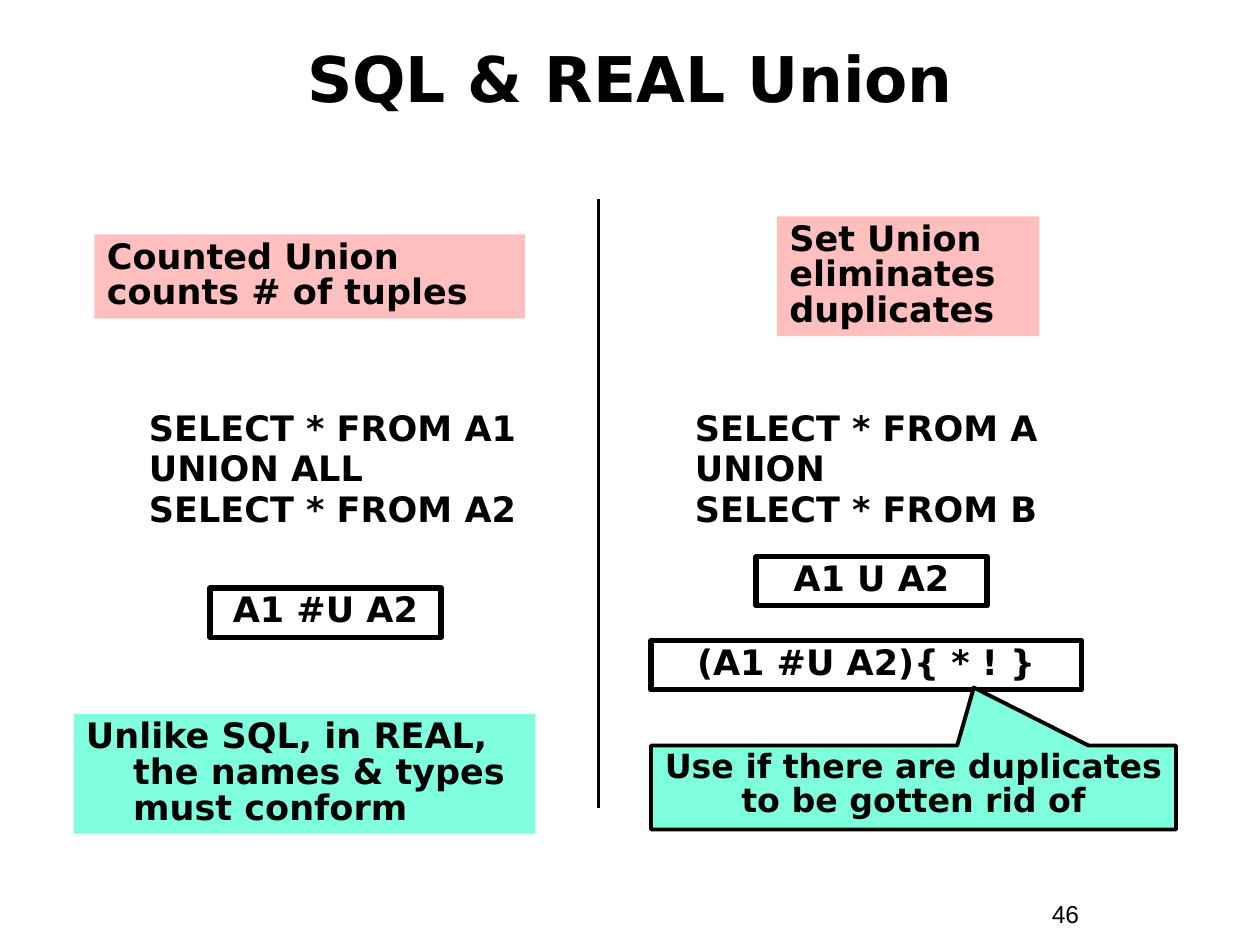
import pptx
import pptx.dml.color
import pptx.enum.shapes
import pptx.enum.text
import pptx.oxml
import pptx.oxml.ns
import pptx.util

Pt = pptx.util.Pt
Shape = pptx.enum.shapes.MSO_SHAPE
Align = pptx.enum.text.PP_ALIGN
Anchor = pptx.enum.text.MSO_ANCHOR

BLACK, PINK, AQUA = "000000", "FFBFBF", "7FFFDD"
HANGING = 27


def color(hex_text):
    return pptx.dml.color.RGBColor.from_string(hex_text)


def write_text(frame, text, size=20, font="DejaVu Sans", bold=True, align=Align.LEFT,
               anchor=Anchor.TOP, hanging=0, spacing=0.85, gap=0):
    """Fill a frame, one paragraph per line of text."""
    frame.word_wrap = True
    frame.vertical_anchor = anchor
    frame.auto_size = pptx.enum.text.MSO_AUTO_SIZE.NONE
    frame.margin_left = frame.margin_right = Pt(7.2)
    frame.margin_top = frame.margin_bottom = Pt(3.6)
    for number, line in enumerate(text.split("\n")):
        para = frame.add_paragraph() if number else frame.paragraphs[0]
        para.text = line
        para.alignment = align
        para.line_spacing = spacing
        para.space_before = Pt(gap if number else 0)
        if hanging:
            properties = para._p.get_or_add_pPr()
            properties.set("marL", str(Pt(hanging)))
            properties.set("indent", str(-Pt(hanging)))
        for span in para.runs:
            span.font.name = font
            span.font.size = Pt(size)
            span.font.bold = bold
            span.font.color.rgb = color(BLACK)


def add_box(page, box, text, kind=Shape.RECTANGLE, fill=None, line=None, **text_format):
    shape = page.shapes.add_shape(kind, *map(Pt, box))
    shape.shadow.inherit = False
    if fill:
        shape.fill.solid()
        shape.fill.fore_color.rgb = color(fill)
    else:
        shape.fill.background()
    if line:
        shape.line.color.rgb = color(BLACK)
        shape.line.width = Pt(line)
    else:
        shape.line.fill.background()
    write_text(shape.text_frame, text, **text_format)
    return shape


def add_query(page, box, text):
    query = page.shapes.add_textbox(*map(Pt, box))
    write_text(query.text_frame, text, hanging=HANGING, gap=2.5)


def add_formula(page, box, text):
    add_box(page, box, text, line=3, align=Align.CENTER, hanging=HANGING)


def add_title(page, box, text):
    title = page.shapes.title
    title.left, title.top, title.width, title.height = map(Pt, box)
    write_text(title.text_frame, text, size=36, align=Align.CENTER,
               anchor=Anchor.MIDDLE, spacing=1.0)


def add_divider(page, box):
    left, top, width, height = box
    divider = page.shapes.add_connector(
        pptx.enum.shapes.MSO_CONNECTOR.STRAIGHT,
        Pt(left), Pt(top), Pt(left + width), Pt(top + height))
    divider.line.color.rgb = color(BLACK)
    divider.line.width = Pt(2.25)
    divider._element.spPr.append(pptx.oxml.parse_xml(
        "<a:effectLst %s/>" % pptx.oxml.ns.nsdecls("a")))


def add_counted_union(page, box):
    left, top, width, height = box
    add_box(page, (left + 12, top + 20, 246, 48.2),
            "Counted Union counts # of tuples", fill=PINK)
    add_query(page, (left + 36, top + 118.6, 228, 73.4),
              "SELECT * FROM A1\nUNION ALL\nSELECT * FROM A2")
    add_formula(page, (left + 78, top + 222, 132, 28.2), "A1 #U A2")
    add_box(page, (left, top + height - 68.4, width, 68.4),
            "Unlike SQL, in REAL, the names & types\vmust conform",
            fill=AQUA, hanging=HANGING)


def add_set_union(page, box):
    left, top, width, height = box
    add_box(page, (left + 72, top + 9.7, 150, 68.4),
            "Set Union eliminates duplicates", fill=PINK)
    add_query(page, (left + 18, top + 118.6, 228, 73.4),
              "SELECT * FROM A\nUNION\nSELECT * FROM B")
    add_formula(page, (left + 60, top + 204, 132, 28.2), "A1 U A2")
    add_formula(page, (left, top + 252, 246, 28.2), "(A1 #U A2){ * ! }")
    # Callout pointing at the formula above it
    callout = add_box(page, (left, top + height - 48, width, 48),
                      "Use if there are duplicates to be gotten rid of",
                      kind=Shape.RECTANGULAR_CALLOUT, fill=AQUA, line=2.25,
                      size=19, align=Align.CENTER)
    callout.adjustments[0] = 0.115
    callout.adjustments[1] = -1.19


def add_page_number(page, box, text):
    number = page.shapes.add_textbox(*map(Pt, box))
    write_text(number.text_frame, text, size=14, font="Arial", bold=False, spacing=1.0)


def main():
    deck = pptx.Presentation()
    deck.slide_width, deck.slide_height = Pt(720), Pt(540)
    page = deck.slides.add_slide(deck.slide_layouts[5])  # Title Only

    add_title(page, (24, 10.8, 672, 67), "SQL & REAL Union")
    add_counted_union(page, (42, 114, 264, 362.4))
    add_divider(page, (342, 114, 0, 348))
    add_set_union(page, (372, 114, 300, 360))
    add_page_number(page, (594, 510, 66, 24.5), "46")
    deck.save("out.pptx")


if __name__ == "__main__":
    main()
